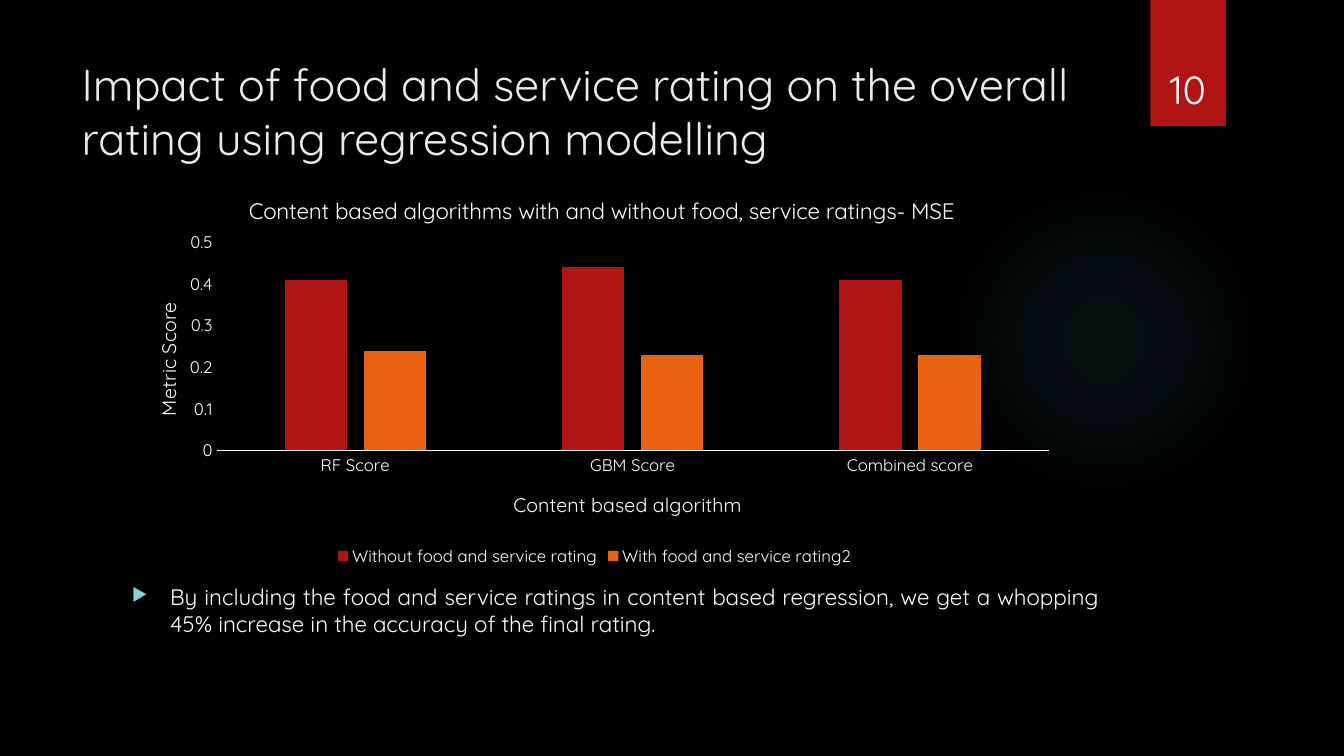
from lxml import etree
from pptx import Presentation
from pptx.chart.data import CategoryChartData
from pptx.dml.color import RGBColor
from pptx.enum.chart import XL_CHART_TYPE, XL_LEGEND_POSITION, XL_TICK_MARK
from pptx.enum.shapes import MSO_SHAPE
from pptx.enum.text import MSO_ANCHOR, MSO_AUTO_SIZE, PP_ALIGN
from pptx.oxml import parse_xml
from pptx.oxml.ns import nsdecls, qn
from pptx.util import Emu, Pt

COLUMN_CLUSTERED = XL_CHART_TYPE.COLUMN_CLUSTERED
LEGEND_BOTTOM = XL_LEGEND_POSITION.BOTTOM
NO_TICK = XL_TICK_MARK.NONE
OVAL, RECTANGLE = MSO_SHAPE.OVAL, MSO_SHAPE.RECTANGLE
TOP, MIDDLE, BOTTOM = MSO_ANCHOR.TOP, MSO_ANCHOR.MIDDLE, MSO_ANCHOR.BOTTOM
NO_AUTOFIT = MSO_AUTO_SIZE.NONE
LEFT, CENTER, JUSTIFY = PP_ALIGN.LEFT, PP_ALIGN.CENTER, PP_ALIGN.JUSTIFY

BLACK = RGBColor(0x00, 0x00, 0x00)
WHITE = RGBColor(0xFF, 0xFF, 0xFF)
OFF_WHITE = RGBColor(0xEB, 0xEB, 0xEB)
RED = RGBColor(0xB0, 0x15, 0x13)
ORANGE = RGBColor(0xEA, 0x63, 0x12)
TEAL = RGBColor(0x50, 0xB9, 0xC1)
PALE_BLUE = RGBColor(0x8A, 0xD0, 0xD6)

FONT = "Quicksand"
PX = 9144  # 100 px to the inch


class SlideBuilder:
    def __init__(self, presentation):
        self.slide = presentation.slides.add_slide(presentation.slide_layouts[5])
        background = self.slide.background.fill
        background.solid()
        background.fore_color.rgb = BLACK

    def box(self, *lengths):
        return [Emu(length * PX) for length in lengths]

    def style(self, font, size, color=WHITE):
        font.name = FONT
        font.size = Pt(size)
        font.bold = False
        font.color.rgb = color

    def fill_text(self, shape, text, size, color, align, anchor):
        frame = shape.text_frame
        frame.word_wrap = True
        frame.auto_size = NO_AUTOFIT
        frame.vertical_anchor = anchor
        frame.text = text
        paragraph = frame.paragraphs[0]
        paragraph.alignment = align
        self.style(paragraph.runs[0].font, size, color)
        return paragraph

    def title(self, text, *lengths):
        shape = self.slide.shapes.title
        shape.left, shape.top, shape.width, shape.height = self.box(*lengths)
        self.fill_text(shape, text, 32, OFF_WHITE, LEFT, MIDDLE)

    def text(self, text, size, align, anchor, *lengths):
        shape = self.slide.shapes.add_textbox(*self.box(*lengths))
        return self.fill_text(shape, text, size, WHITE, align, anchor)

    def bullet(self, text, size, indent, *lengths):
        paragraph = self.text(text, size, JUSTIFY, TOP, *lengths)
        properties = paragraph._p.get_or_add_pPr()
        properties.set("marL", str(indent * PX))
        properties.set("indent", str(-indent * PX))
        color = etree.SubElement(properties, qn("a:buClr"))
        etree.SubElement(color, qn("a:srgbClr"), val=str(PALE_BLUE))
        etree.SubElement(properties, qn("a:buSzPct"), val="80000")
        etree.SubElement(properties, qn("a:buChar"), char="▶")

    def shape(self, kind, color, *lengths):
        shape = self.slide.shapes.add_shape(kind, *self.box(*lengths))
        shape.shadow.inherit = False
        shape.fill.solid()
        shape.fill.fore_color.rgb = color
        shape.line.fill.background()
        return shape

    def glow(self, color, stops, *lengths):
        shape = self.shape(OVAL, color, *lengths)
        stop_xml = "".join(
            f'<a:gs pos="{position * 1000}"><a:srgbClr val="{color}">'
            f'<a:alpha val="{alpha * 1000}"/></a:srgbClr></a:gs>'
            for position, alpha in stops)
        gradient = parse_xml(
            f'<a:gradFill {nsdecls("a")}><a:gsLst>{stop_xml}</a:gsLst>'
            '<a:path path="circle"><a:fillToRect l="50000" t="50000" '
            'r="50000" b="50000"/></a:path></a:gradFill>')
        solid = shape._element.spPr.find(qn("a:solidFill"))
        solid.getparent().replace(solid, gradient)

    def place(self, element, index, **fractions):
        """Give a chart part a manual position, as fractions of the chart."""
        for old in element.findall(qn("c:layout")):
            element.remove(old)
        layout = etree.Element(qn("c:layout"))
        manual = etree.SubElement(layout, qn("c:manualLayout"))
        if "w" in fractions:
            etree.SubElement(manual, qn("c:layoutTarget"), val="inner")
        for name in ("x", "y"):
            etree.SubElement(manual, qn(f"c:{name}Mode"), val="edge")
        for name, value in fractions.items():
            etree.SubElement(manual, qn(f"c:{name}"), val=str(value))
        element.insert(index, layout)

    def chart_title(self, owner, text, size, x, y):
        title = owner.chart_title if hasattr(owner, "chart_title") else owner.axis_title
        title.text_frame.text = text
        self.style(title.text_frame.paragraphs[0].runs[0].font, size)
        self.place(title._element, 1, x=x, y=y)

    def column_chart(self, categories, series, titles, *lengths):
        data = CategoryChartData()
        data.categories = categories
        for name, values, _ in series:
            data.add_series(name, values)
        chart = self.slide.shapes.add_chart(
            COLUMN_CLUSTERED, *self.box(*lengths), data).chart
        self.style(chart.font, 10)

        # Columns
        plot = chart.plots[0]
        plot.gap_width, plot.overlap = 219, -27
        plot.vary_by_categories = False
        for columns, (_, _, color) in zip(plot.series, series):
            columns.format.fill.solid()
            columns.format.fill.fore_color.rgb = color

        # Axes
        for axis in (chart.category_axis, chart.value_axis):
            axis.major_tick_mark = axis.minor_tick_mark = NO_TICK
            axis.has_major_gridlines = False
            self.style(axis.tick_labels.font, 12)
        chart.category_axis.format.line.color.rgb = WHITE
        chart.category_axis.format.line.width = Pt(0.75)
        value_axis = chart.value_axis
        value_axis.format.line.fill.background()
        value_axis.minimum_scale, value_axis.maximum_scale = 0, 0.5
        value_axis.major_unit = 0.1

        # Titles, legend and plot position
        owners = (chart, chart.category_axis, value_axis)
        for owner, title in zip(owners, titles):
            self.chart_title(owner, *title)
        chart.has_legend = True
        chart.legend.position = LEGEND_BOTTOM
        chart.legend.include_in_layout = False
        self.style(chart.legend.font, 12)
        plot_area = chart._chartSpace.chart.plotArea
        self.place(plot_area, 0, x=0.1, y=0.18, w=0.88, h=0.52)


def main():
    presentation = Presentation()
    presentation.slide_width = Emu(1333 * PX)
    presentation.slide_height = Emu(750 * PX)
    builder = SlideBuilder(presentation)

    # Background glow and page number tab
    builder.glow(TEAL, [(0, 7), (36, 6), (69, 0)], 941, 183, 308, 308)
    builder.shape(RECTANGLE, RED, 1141, 0, 75, 125)
    builder.text("10", 28, CENTER, BOTTOM, 1132, 32, 92, 84)

    # Title
    builder.title("Impact of food and service rating on the overall rating "
                  "using regression modelling", 71, 50, 1029, 119)

    # Error comparison chart
    builder.column_chart(
        ["RF Score", "GBM Score", "Combined score"],
        [("Without food and service rating", (0.41, 0.44, 0.41), RED),
         ("With food and service rating2", (0.24, 0.23, 0.23), ORANGE)],
        [("Content based algorithms with and without food, service ratings- MSE",
          16, 0.13, 0.05),
         ("Content based algorithm", 14, 0.41, 0.79),
         ("Metric Score", 14, 0.03, 0.32)],
        121, 169, 938, 397)

    # Finding
    builder.bullet("By including the food and service ratings in content based "
                   "regression, we get a whopping 45% increase in the accuracy "
                   "of the final rating.", 16, 38, 121, 574, 979, 64)

    presentation.save("out.pptx")


if __name__ == "__main__":
    main()
